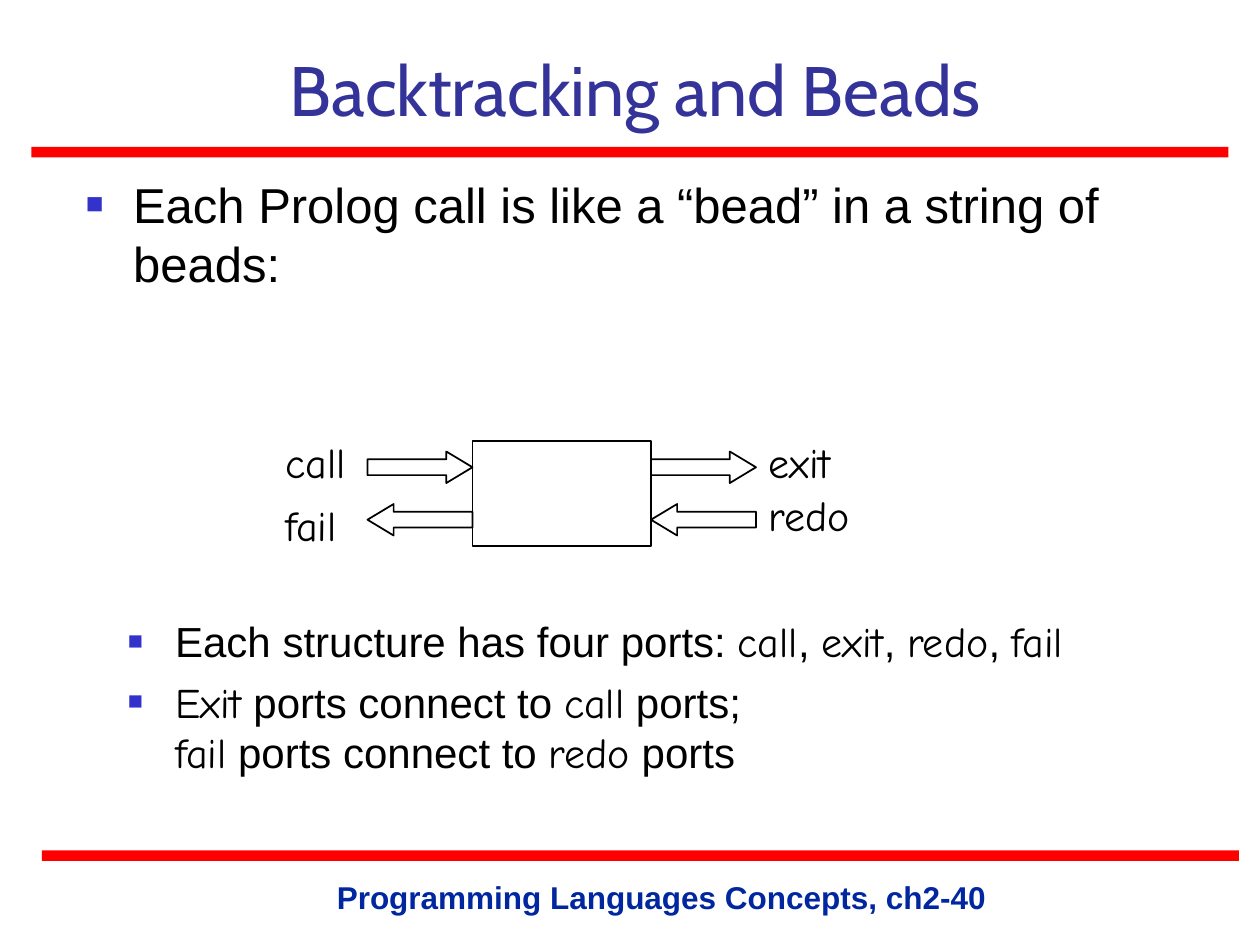
from dataclasses import dataclass
from lxml import etree
from pptx import Presentation
from pptx.dml.color import RGBColor
from pptx.enum.shapes import MSO_SHAPE
from pptx.enum.text import MSO_ANCHOR, PP_ALIGN
from pptx.oxml.ns import qn
from pptx.util import Pt

RECTANGLE = MSO_SHAPE.RECTANGLE
RIGHT, LEFT = MSO_SHAPE.RIGHT_ARROW, MSO_SHAPE.LEFT_ARROW
CENTER, ALIGN_LEFT = PP_ALIGN.CENTER, PP_ALIGN.LEFT
TOP, BOTTOM = MSO_ANCHOR.TOP, MSO_ANCHOR.BOTTOM


@dataclass(frozen=True)
class Theme:
    body: str = "Arial"
    heading: str = "Cabin"
    port: str = "Comic Neue"
    black: str = "000000"
    title: str = "333399"
    bullet: str = "3333CC"
    footer: str = "00279F"
    bar: str = "FF0000"
    title_size: int = 40
    lead_size: int = 28
    text_size: int = 24
    footer_size: int = 18


THEME = Theme()

TITLE = "Backtracking and Beads"
FOOTER = "Programming Languages Concepts, ch2-40"
LEAD = [[("Each Prolog call is like a “bead” in a string of beads:", THEME.body)]]
DETAILS = [
    [("Each structure has four ports: ", THEME.body), ("call", THEME.port),
     (", ", THEME.body), ("exit", THEME.port), (", ", THEME.body),
     ("redo", THEME.port), (", ", THEME.body), ("fail", THEME.port)],
    [("Exit", THEME.port), (" ports connect to ", THEME.body),
     ("call", THEME.port), (" ports;\n", THEME.body), ("fail", THEME.port),
     (" ports connect to ", THEME.body), ("redo", THEME.port),
     (" ports", THEME.body)],
]
BARS = [(18, 84), (24, 486)]
BEAD = (270, 252, 102, 60)
ARROW_WIDTH, ARROW_HEIGHT, ARROW_INSET = 60, 18, 6
PORTS = [
    ("call", RIGHT, "left", "top", (156, 246, 72)),
    ("fail", LEFT, "left", "bottom", (156, 282, 60)),
    ("exit", RIGHT, "right", "top", (432, 246, 96)),
    ("redo", LEFT, "right", "bottom", (432, 276, 66)),
]


def place(shape, *bounds):
    shape.left, shape.top, shape.width, shape.height = map(Pt, bounds)


def style(font, name, size, color, bold=False):
    font.name, font.size, font.bold = name, Pt(size), bold
    font.color.rgb = RGBColor.from_string(color)


def write(shape, text, name, size, color, align=ALIGN_LEFT, anchor=TOP, bold=False):
    frame = shape.text_frame
    frame.word_wrap = True
    frame.vertical_anchor = anchor
    para = frame.paragraphs[0]
    para.text, para.alignment = text, align
    style(para.font, name, size, color, bold)


def add_shape(page, kind, bounds, fill=None):
    shape = page.shapes.add_shape(kind, *map(Pt, bounds))
    shape.shadow.inherit = False
    if fill:
        shape.fill.solid()
        shape.fill.fore_color.rgb = RGBColor.from_string(fill)
        shape.line.fill.background()
    else:
        shape.fill.background()
        shape.line.color.rgb = RGBColor.from_string(THEME.black)
        shape.line.width = Pt(1)
    return shape


def add_bullet(para):
    props = para._p.get_or_add_pPr()
    props.set("marL", str(Pt(27)))
    props.set("indent", str(-Pt(27)))
    color = etree.SubElement(props, qn("a:buClr"))
    etree.SubElement(color, qn("a:srgbClr"), val=THEME.bullet)
    etree.SubElement(props, qn("a:buSzPct"), val="60000")
    etree.SubElement(props, qn("a:buFont"), typeface=THEME.body)
    etree.SubElement(props, qn("a:buChar"), char="■")


def add_bullets(page, items, bounds, size):
    frame = page.shapes.add_textbox(*map(Pt, bounds)).text_frame
    frame.word_wrap = True
    for index, pieces in enumerate(items):
        para = frame.add_paragraph() if index else frame.paragraphs[0]
        add_bullet(para)
        if index:
            para.space_before = Pt(6)
        for text, name in pieces:
            span = para.add_run()
            span.text = text.rstrip("\n")
            style(span.font, name, size, THEME.black)
            if text.endswith("\n"):
                para.add_line_break()


def add_bead(page):
    left, top, width, height = BEAD
    add_shape(page, RECTANGLE, BEAD)
    columns = {"left": left - ARROW_WIDTH, "right": left + width}
    rows = {"top": top + ARROW_INSET,
            "bottom": top + height - ARROW_INSET - ARROW_HEIGHT}
    for label, kind, side, row, (x, y, label_width) in PORTS:
        arrow = add_shape(page, kind,
                          (columns[side], rows[row], ARROW_WIDTH, ARROW_HEIGHT))
        arrow.adjustments[0], arrow.adjustments[1] = 0.5, 0.83
        box = page.shapes.add_textbox(Pt(x), Pt(y), Pt(label_width), Pt(36))
        write(box, label, THEME.port, THEME.text_size, THEME.black)


def main():
    deck = Presentation()
    deck.slide_width, deck.slide_height = Pt(720), Pt(540)
    page = deck.slides.add_slide(deck.slide_layouts[5])
    for left, top in BARS:
        add_shape(page, RECTANGLE, (left, top, 684, 6), THEME.bar)
    footer = page.shapes.add_textbox(Pt(156), Pt(498), Pt(444), Pt(29))
    write(footer, FOOTER, THEME.body, THEME.footer_size, THEME.footer, CENTER, bold=True)
    title = page.shapes.title
    place(title, 90, 18, 546, 60)
    write(title, TITLE, THEME.heading, THEME.title_size, THEME.title, CENTER, BOTTOM)
    add_bullets(page, LEAD, (42, 96, 628.5, 85.5), THEME.lead_size)
    add_bead(page)
    add_bullets(page, DETAILS, (66, 348, 654, 108), THEME.text_size)
    deck.save("out.pptx")


if __name__ == "__main__":
    main()
